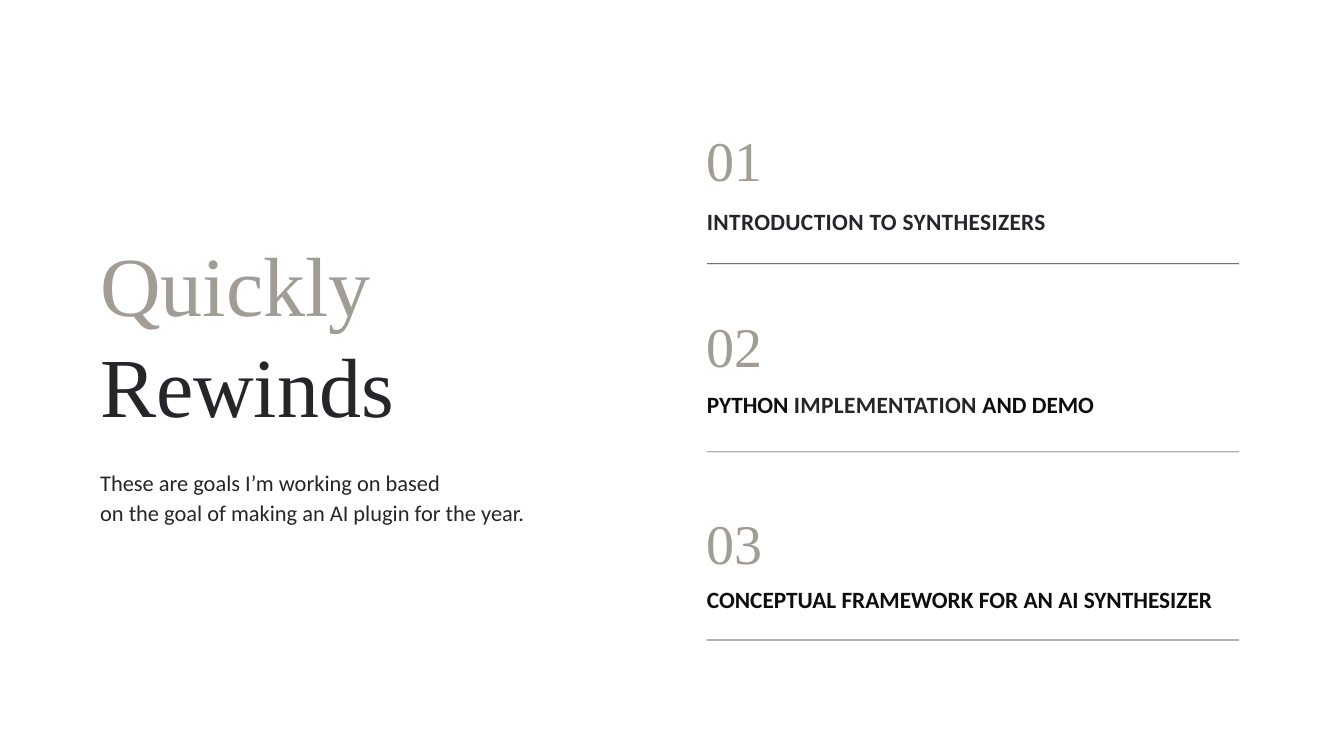
import pptx
import pptx.util
import pptx.dml.color
import pptx.enum.shapes
import pptx.enum.text

Inches = pptx.util.Inches
Pt = pptx.util.Pt

SERIF, SANS = "Times New Roman", "Calibri"
STONE, CHARCOAL, BLACK = "A19C95", "252629", "0E0E0E"


def paint(target, color):
    target.rgb = pptx.dml.color.RGBColor.from_string(color)


def add_text(left, top, width, height, lines, font, size, leading=None, bold=False):
    tf = s.shapes.add_textbox(Inches(left), Inches(top), Inches(width), Inches(height)).text_frame
    tf.word_wrap = True
    tf.auto_size = pptx.enum.text.MSO_AUTO_SIZE.SHAPE_TO_FIT_TEXT
    tf.margin_left = tf.margin_top = tf.margin_right = tf.margin_bottom = 0
    for i, line in enumerate(lines):
        p = tf.add_paragraph() if i else tf.paragraphs[0]
        if leading:
            p.line_spacing = Pt(leading)
        for text, color, spacing in line:
            r = p.add_run()
            r.text = text
            r.font.name = font
            r.font.size = Pt(size)
            r.font.bold = bold
            paint(r.font.color, color)
            if spacing:
                r.font._element.set("spc", str(spacing))


prs = pptx.Presentation()
prs.slide_width = Inches(20)
prs.slide_height = Inches(11.25)
s = prs.slides.add_slide(prs.slide_layouts[6])

add_text(1.49, 3.46, 7.1, 3, [[("Quickly", STONE, 0)], [("Rewinds", CHARCOAL, 0)]], SERIF, 90, 108)
add_text(1.49, 6.93, 7.1, 0.84, [
    [("These are goals I’m working on based", CHARCOAL, 0)],
    [("on the goal of making an AI plugin for the year.", CHARCOAL, 0)],
], SANS, 24, 32.2)

topics = [
    (1.87, 3.02, 8.06, 35, [("INTRODUCTION TO SYNTHESIZERS", CHARCOAL, 40)]),
    (4.64, 5.8, 8.06, None, [("PYTHON ", BLACK, 0), ("IMPLEMENTATION", CHARCOAL, 40), (" AND DEMO", BLACK, 0)]),
    (7.56, 8.71, 9.48, None, [("CONCEPTUAL FRAMEWORK FOR AN AI SYNTHESIZER", BLACK, 0)]),
]
for i, (number_top, title_top, width, leading, title) in enumerate(topics):
    add_text(10.52, number_top, width, 1, [[(f"{i + 1:02}", STONE, 0)]], SERIF, 60, 72)
    add_text(10.52, title_top, width, 0.42, [title], SANS, 25, leading, True)
    rule = s.shapes.add_shape(pptx.enum.shapes.MSO_SHAPE.RECTANGLE,
                              Inches(10.52), Inches(3.92 + 2.8 * i), Inches(7.92), Inches(0.01))
    rule.shadow.inherit = False
    rule.fill.solid()
    paint(rule.fill.fore_color, CHARCOAL)
    rule.line.fill.background()

prs.save("out.pptx")
